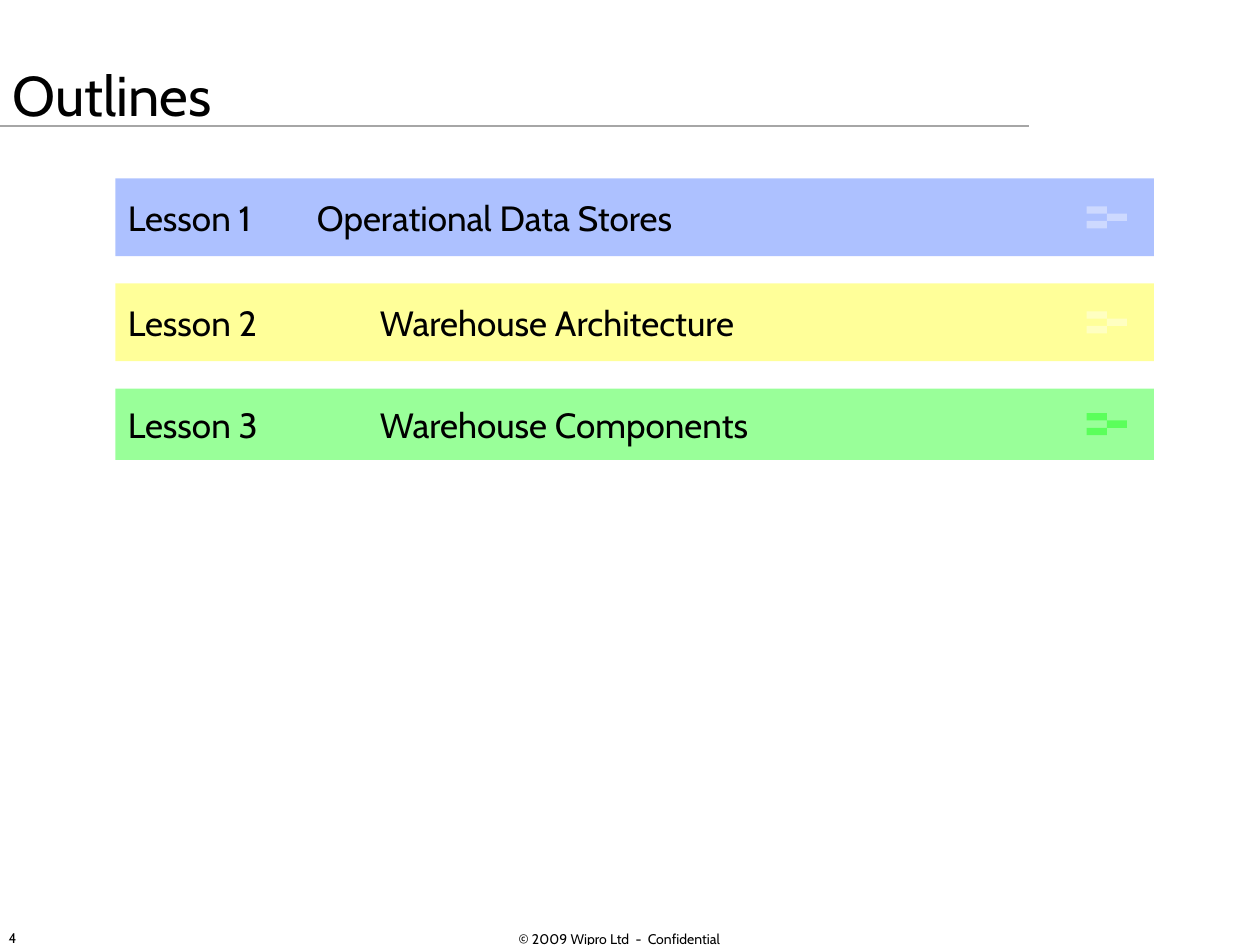
"""Build the lesson outline slide on a grid of 120 columns by 90 rows."""
from lxml.etree import SubElement as Sub
from pptx import Presentation as Deck
from pptx.dml.color import RGBColor as Color
from pptx.enum.shapes import MSO_CONNECTOR as Link, MSO_SHAPE as Kind
from pptx.enum.text import MSO_ANCHOR as Anchor, PP_ALIGN as Align
from pptx.oxml.ns import qn
from pptx.util import Inches, Pt

deck = Deck()
deck.slide_width, deck.slide_height = Inches(10), Inches(7.5)
slide = deck.slides.add_slide(deck.slide_layouts[6])
shapes = slide.shapes
cell = deck.slide_width / 120


def write(shape, text, size, align=Align.LEFT):
    frame = shape.text_frame
    frame.word_wrap = True
    frame.vertical_anchor = Anchor.MIDDLE
    para = frame.paragraphs[0]
    para.alignment = align
    run = para.add_run()
    run.text = text
    run.font.name, run.font.size = "Cabin", Pt(size)
    run.font.color.rgb = Color.from_string("000000")


def block(col, row, wide, high, hue):
    rect = shapes.add_shape(Kind.RECTANGLE, *(round(n * cell) for n in (col, row, wide, high)))
    rect.shadow.inherit = False
    rect.line.fill.background()
    rect.fill.solid()
    rect.fill.fore_color.rgb = Color.from_string(hue)
    tint = rect.fill._xPr.find(".//" + qn("a:srgbClr"))
    Sub(tint, qn("a:alpha"), val="40000")
    return rect


rule = shapes.add_connector(Link.STRAIGHT, 0, round(12 * cell), round(98 * cell), round(12 * cell))
rule.line.color.rgb = Color.from_string("A6A6A6")
rule.line.width = Pt(0.75)
Sub(rule._element.spPr, qn("a:effectLst"))

labels = [
    (33, 87, 52, 4.8, "© 2009 Wipro Ltd  -  Confidential", 8, Align.CENTER),
    (-0.36, 86.9, 28, 4.8, "4", 8, Align.LEFT),
    (0, 3, 99.2, 12, "Outlines", 32, Align.LEFT),
]
for *area, text, size, align in labels:
    write(shapes.add_textbox(*(round(n * cell) for n in area)), text, size, align)

lessons = [
    ("Operational Data Stores", "3366FF", "FFFFFF", 7.4),
    ("Warehouse Architecture", "FFFF00", "FFFFFF", 7.4),
    ("Warehouse Components", "00FF00", "00FF00", 6.8),
]
step = 0.7
for i, (topic, hue, mark, high) in enumerate(lessons):
    top = 17 + 10 * i
    bar = block(11, top, 98.9, high, hue)
    write(bar, f"Lesson {i + 1}\t\t{topic}", 20)
    start = top + (high - 3 * step) / 2
    for j in range(3):
        block(103.5 + 1.92 * (j % 2), start + step * j, 1.92, step, mark)

deck.save("out.pptx")
